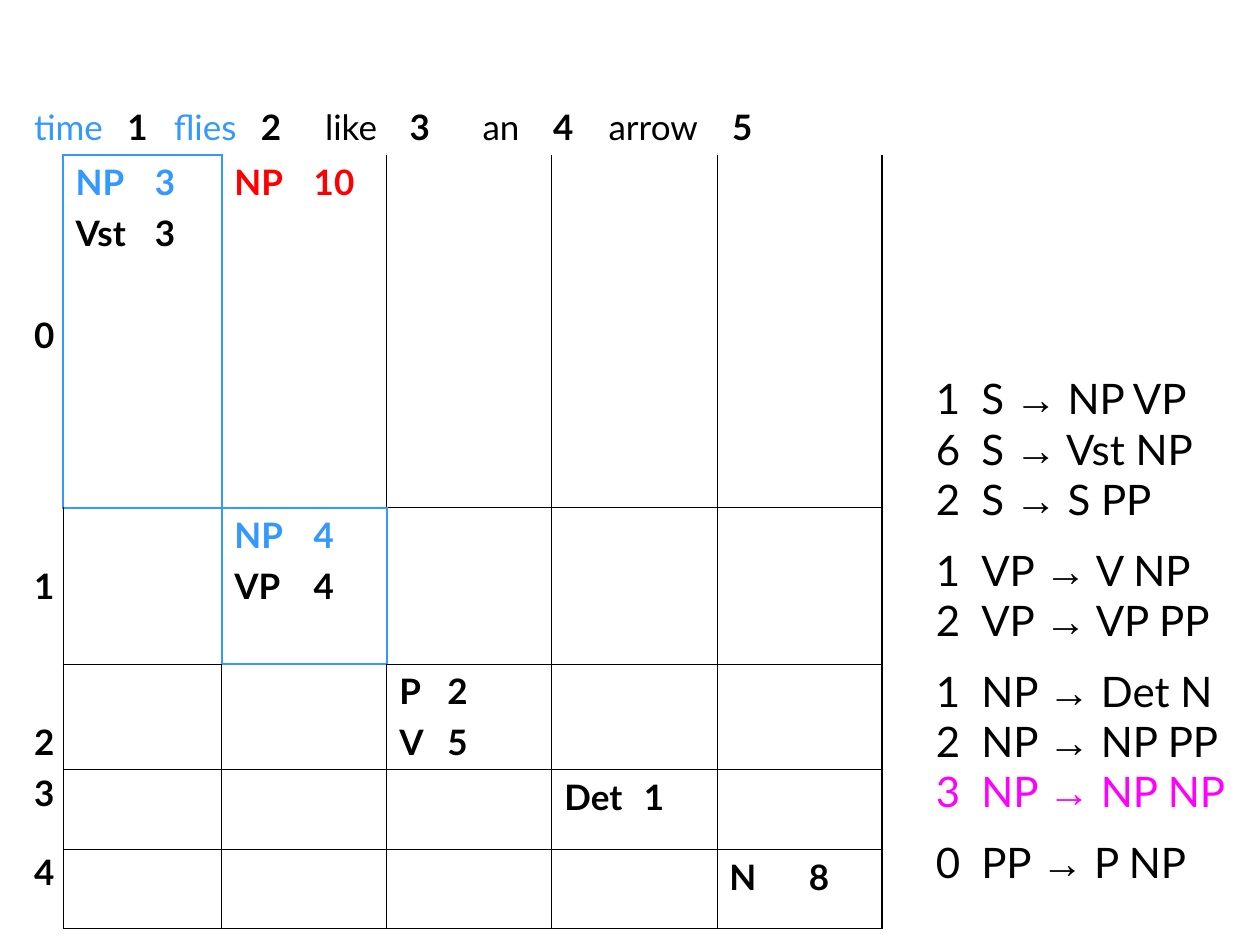
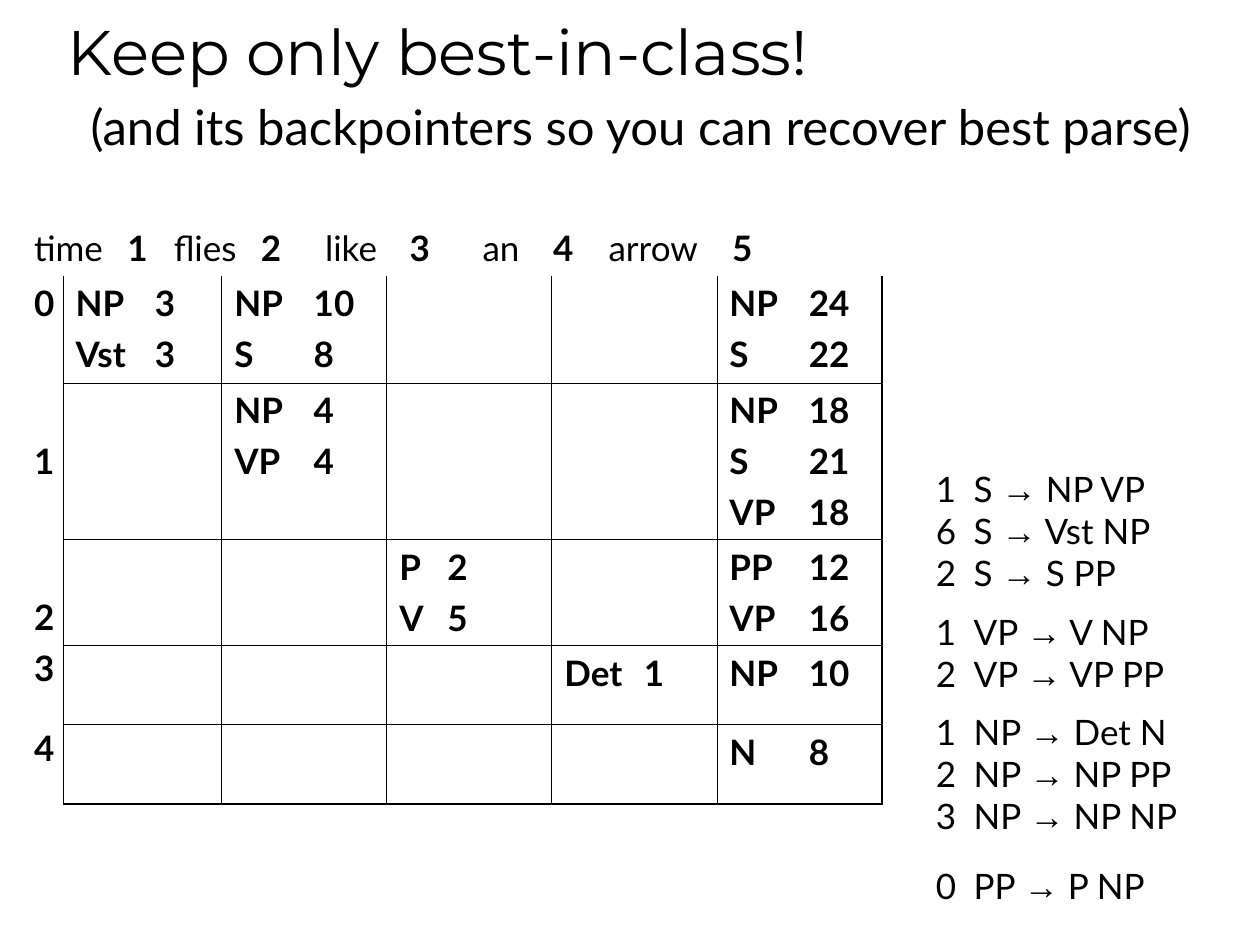
from dataclasses import dataclass

from lxml import etree
from pptx import Presentation
from pptx.dml.color import RGBColor
from pptx.enum.text import MSO_ANCHOR, PP_ALIGN
from pptx.oxml.ns import qn
from pptx.util import Inches, Pt

LEFT, CENTER = PP_ALIGN.LEFT, PP_ALIGN.CENTER
TOP, BOTTOM = MSO_ANCHOR.TOP, MSO_ANCHOR.BOTTOM

BLACK = RGBColor(0x00, 0x00, 0x00)
BLUE = RGBColor(0x33, 0x99, 0xFF)
RED = RGBColor(0xFF, 0x00, 0x00)
MAGENTA = RGBColor(0xFF, 0x00, 0xFF)

BODY_FONT, TITLE_FONT, ARROW_FONT = "Lato", "Montserrat", "Arial"
ARROW = "→"
CHART_SIZE = 20
ENTRY_GAP = 5
THIN, THICK = 0.45, 1.08

# The slide is a grid of 100 columns by 75 rows of square units.
SLIDE_COLUMNS, SLIDE_ROWS = 100, 75
UNIT = Inches(0.1)

CHART_LEFT = 1.7
CHART_COLUMNS = [3.3, 12.6] + [13.1] * 4
HEADER_ROW = 4.4
LOWER_ROWS = [12.4, 8.4, 6.3, 6.3]
LABEL_SPACING = [1.0, 2.2, 2.2, 0.9, 0.9]
WORDS = ["time", "flies", "like", "an", "arrow"]
SENTENCE_TABS = [7.4, 11.1, 18.0, 23.1, 29.8, 35.6, 41.2, 45.6, 55.4]
SCORE_TAB, SHORT_SCORE_TAB = 6.3, 3.8

RULE_GROUPS = [
    ["1\tS → NP VP", "6\tS → Vst NP", "2\tS → S PP"],
    ["1\tVP → V NP", "2\tVP → VP PP"],
    ["1\tNP → Det N", "2\tNP → NP PP", "3\tNP → NP NP"],
    ["0\tPP → P NP"],
]
GROUP_SPACING = 1.4

Place = tuple[int, int]


@dataclass(frozen=True)
class Span:
    text: str
    color: RGBColor = BLACK
    bold: bool = False
    font: str = BODY_FONT


@dataclass(frozen=True)
class Line:
    spans: list[Span]
    spacing: float = 1.0


@dataclass(frozen=True)
class ParseChart:
    """Entries and highlighted cells are keyed by (start, end - 1)."""
    top: float
    first_row: float
    first_label_drop: float
    entries: dict[Place, list[str]]
    colors: dict[tuple[int, int, str], RGBColor]
    highlights: set[Place]


@dataclass(frozen=True)
class Grammar:
    top: float
    height: float
    size: int
    last_spacing: float = GROUP_SPACING
    colors: tuple[tuple[str, RGBColor], ...] = ()


SHARED_ENTRIES: dict[Place, list[str]] = {
    (0, 0): ["NP\t3", "Vst\t3"],
    (0, 1): ["NP\t10"],
    (1, 1): ["NP\t4", "VP\t4"],
    (2, 2): ["P\t2", "V\t5"],
    (3, 3): ["Det\t1"],
    (4, 4): ["N\t8"],
}
FINAL_ENTRIES: dict[Place, list[str]] = SHARED_ENTRIES | {
    (0, 1): ["NP\t10", "S\t8"],
    (0, 4): ["NP\t24", "S\t22"],
    (1, 4): ["NP\t18", "S\t21", "VP\t18"],
    (2, 4): ["PP\t12", "VP\t16"],
    (3, 4): ["NP\t10"],
}

COMBINING_CHART = ParseChart(
    top=7.9, first_row=28, first_label_drop=12.1, entries=SHARED_ENTRIES,
    colors={(0, 0, "NP\t3"): BLUE, (1, 1, "NP\t4"): BLUE, (0, 1, "NP\t10"): RED},
    highlights={(0, 0), (1, 1)},
)
FINAL_CHART = ParseChart(
    top=17.5, first_row=8.5, first_label_drop=0, entries=FINAL_ENTRIES,
    colors={}, highlights=set(),
)
COMBINING_GRAMMAR = Grammar(29.1, 41.8, 24, colors=(("3\tNP → NP NP", MAGENTA),))
FINAL_GRAMMAR = Grammar(36.6, 36, 20, last_spacing=1.65)


def units(count: float) -> int:
    return round(count * UNIT)


def set_tabs(para, stops: list[float]) -> None:
    if not stops:
        return
    tab_list = etree.SubElement(para._p.get_or_add_pPr(), qn("a:tabLst"))
    for stop in stops:
        etree.SubElement(tab_list, qn("a:tab"), pos=str(units(stop)), algn="l")


def write_text(frame, lines: list[Line], *, size: int, align=LEFT,
               tabs: list[float] | None = None, gap: float = 0) -> None:
    for index, line in enumerate(lines):
        para = frame.add_paragraph() if index else frame.paragraphs[0]
        set_tabs(para, tabs or [])
        para.alignment = align
        para.line_spacing = line.spacing
        if index and gap:
            para.space_before = Pt(gap)
        for span in line.spans:
            run = para.add_run()
            run.text = span.text
            run.font.size = Pt(size)
            run.font.name = span.font
            run.font.bold = span.bold
            run.font.color.rgb = span.color


def add_text_box(page, left: float, top: float, width: float, height: float,
                 lines: list[Line], *, size: int, anchor=TOP, wrap: bool = True,
                 tabs: list[float] | None = None) -> None:
    box = page.shapes.add_textbox(units(left), units(top), units(width), units(height))
    box.text_frame.word_wrap = wrap
    box.text_frame.vertical_anchor = anchor
    write_text(box.text_frame, lines, size=size, tabs=tabs)


def set_border(cell, side: str, color: RGBColor | None, width: float = THIN) -> None:
    """Draw one side (L, R, T or B), or clear it when there is no colour."""
    border = etree.SubElement(cell._tc.get_or_add_tcPr(), qn(f"a:ln{side}"),
                              w=str(Pt(width)))
    if color is None:
        etree.SubElement(border, qn("a:noFill"))
    else:
        fill = etree.SubElement(border, qn("a:solidFill"))
        etree.SubElement(fill, qn("a:srgbClr"), val=str(color))


def draw_borders(cell, row: int, column: int, highlights: set[Place]) -> None:
    """Rule a chart cell; an edge is blue when a cell on either side is highlighted."""
    last = len(WORDS) - 1
    neighbours = {"L": (row, column - 1), "R": (row, column + 1),
                  "T": (row - 1, column), "B": (row + 1, column)}
    for side, neighbour in neighbours.items():
        is_label = column < 0
        outer = (side == "R" and column == last) or (side == "B" and row == last)
        if highlights & {(row, column), neighbour}:
            set_border(cell, side, BLUE, THICK)
        elif (is_label and side != "R") or (side == "T" and row == 0) or row < 0:
            set_border(cell, side, None)
        else:
            set_border(cell, side, BLACK, THICK if outer else THIN)
    cell.fill.background()


def sentence_line(chart: ParseChart) -> Line:
    spans = []
    for index, word in enumerate(WORDS):
        color = BLUE if (index, index) in chart.highlights else BLACK
        lead = "\t" if index else ""
        spans += [Span(lead + word, color), Span(f"\t{index + 1}", bold=True)]
    return Line(spans)


def add_parse_chart(page, chart: ParseChart) -> None:
    heights = [HEADER_ROW, chart.first_row, *LOWER_ROWS]
    frame = page.shapes.add_table(
        len(heights), len(CHART_COLUMNS), units(CHART_LEFT), units(chart.top),
        units(sum(CHART_COLUMNS)), units(sum(heights)))
    table = frame.table
    table.first_row = table.horz_banding = False
    for column, width in zip(table.columns, CHART_COLUMNS):
        column.width = units(width)
    for row, height in zip(table.rows, heights):
        row.height = units(height)

    for row in range(-1, len(WORDS)):
        for column in range(-1, len(WORDS)):
            cell = table.cell(row + 1, column + 1)
            draw_borders(cell, row, column, chart.highlights)

    header = table.cell(0, 0)
    header.merge(table.cell(0, len(WORDS)))
    write_text(header.text_frame, [sentence_line(chart)], size=CHART_SIZE,
               tabs=SENTENCE_TABS)

    for start, spacing in enumerate(LABEL_SPACING):
        label = table.cell(start + 1, 0)
        if start == 0:
            label.margin_top = units(0.5 + chart.first_label_drop)
        write_text(label.text_frame, [Line([Span(str(start), bold=True)], spacing)],
                   size=CHART_SIZE, align=CENTER)

    for (row, column), entries in chart.entries.items():
        lines = [Line([Span(entry, chart.colors.get((row, column, entry), BLACK), True)])
                 for entry in entries]
        tab = SHORT_SCORE_TAB if (row, column) == (2, 2) else SCORE_TAB
        write_text(table.cell(row + 1, column + 1).text_frame, lines,
                   size=CHART_SIZE, tabs=[tab], gap=ENTRY_GAP)


def add_grammar(page, grammar: Grammar) -> None:
    colors = dict(grammar.colors)
    lines = []
    for group_index, group in enumerate(RULE_GROUPS):
        for rule_index, rule in enumerate(group):
            spacing = GROUP_SPACING if group_index and not rule_index else 1.0
            if group is RULE_GROUPS[-1]:
                spacing = grammar.last_spacing
            color = colors.get(rule, BLACK)
            before, after = rule.split(ARROW)
            lines.append(Line([Span(before, color), Span(ARROW, color, font=ARROW_FONT),
                               Span(after, color)], spacing))
    add_text_box(page, 73.3, grammar.top, 26.7, grammar.height, lines,
                 size=grammar.size, tabs=[grammar.size * 0.15])


def add_heading(page, title: str, subtitle: str) -> None:
    add_text_box(page, 4.4, 0.6, 92.2, 6.9, [Line([Span(title, font=TITLE_FONT)])],
                 size=36, anchor=BOTTOM)
    add_text_box(page, 6.2, 7.2, 93.8, 5.7, [Line([Span(subtitle)])],
                 size=28, wrap=False)


def main() -> None:
    deck = Presentation()
    deck.slide_width, deck.slide_height = units(SLIDE_COLUMNS), units(SLIDE_ROWS)
    blank = deck.slide_layouts[6]

    combining_page = deck.slides.add_slide(blank)
    add_parse_chart(combining_page, COMBINING_CHART)
    add_grammar(combining_page, COMBINING_GRAMMAR)

    final_page = deck.slides.add_slide(blank)
    add_parse_chart(final_page, FINAL_CHART)
    add_grammar(final_page, FINAL_GRAMMAR)
    add_heading(final_page, "Keep only best-in-class!",
                "(and its backpointers so you can recover best parse)")
    deck.save("out.pptx")


if __name__ == "__main__":
    main()
